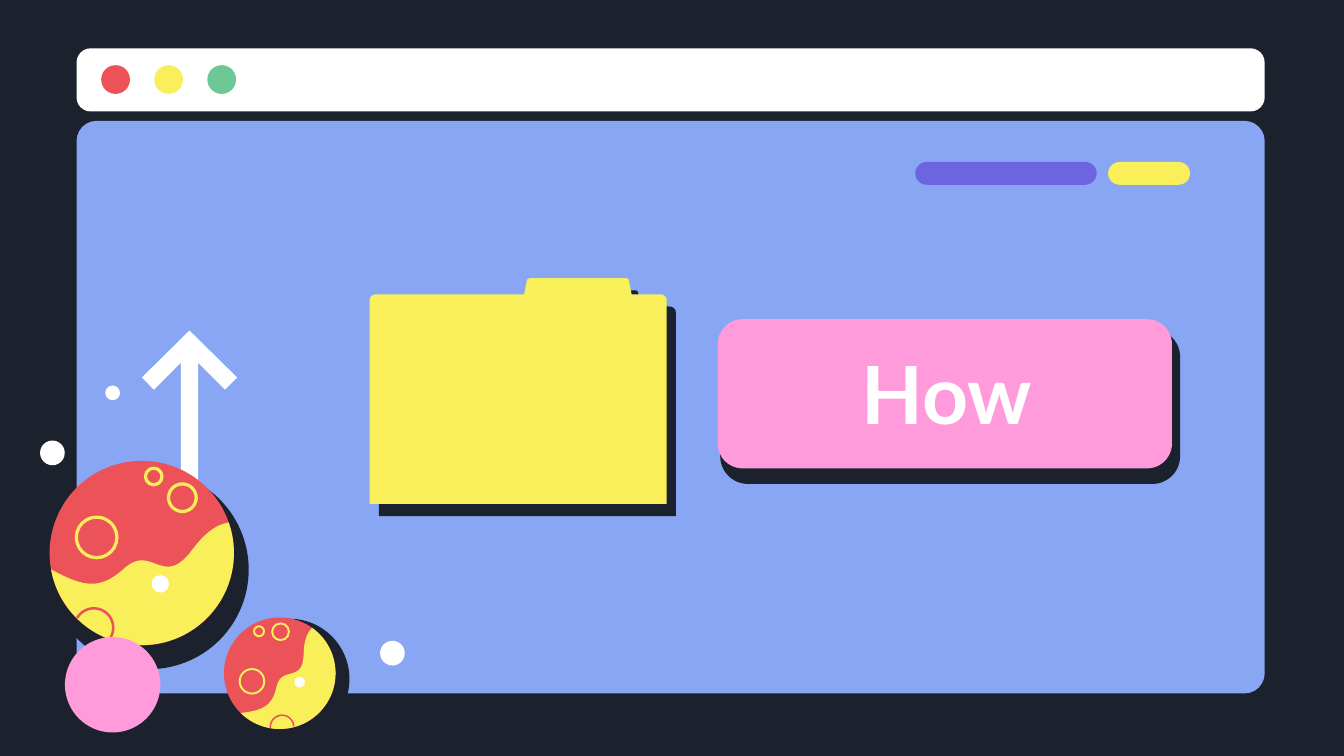
from math import cos, radians, sin

from lxml import etree
from pptx import Presentation
from pptx.dml.color import RGBColor
from pptx.enum.shapes import MSO_SHAPE
from pptx.enum.text import MSO_ANCHOR, PP_ALIGN
from pptx.oxml.ns import qn
from pptx.util import Inches, Pt

OVAL = MSO_SHAPE.OVAL
ROUND = MSO_SHAPE.ROUNDED_RECTANGLE
CENTER = PP_ALIGN.CENTER
MIDDLE = MSO_ANCHOR.MIDDLE

# Square grid: 100 columns by 56.25 rows
WIDTH, HEIGHT, COLS = 10, 5.625, 100
FONT = "Lato"
HEX = {
    "dark": "1B222D", "blue": "88A6F3", "white": "FFFFFF", "red": "EB5358",
    "yellow": "F8EF5B", "green": "6DC797", "purple": "6D65E0", "pink": "FF9BDA",
}


def arc(first, last, radius=1, x=0, y=0, steps=48):
    """Points along a circle; angles run clockwise from the right."""
    turns = [radians(first + (last - first) * i / steps) for i in range(steps + 1)]
    return [(x + radius * cos(t), y + radius * sin(t)) for t in turns]


def trace(parts, steps=16):
    """Turn points (x, y) and cubic curves (x1, y1, x2, y2, x, y) into points."""
    dots = []
    for part in parts:
        if len(part) == 2:
            dots.append(part)
            continue
        knots = [dots[-1], part[:2], part[2:4], part[4:]]
        for i in range(1, steps + 1):
            t = i / steps
            mix = ((1 - t) ** 3, 3 * t * (1 - t) ** 2, 3 * t * t * (1 - t), t ** 3)
            dots.append(tuple(sum(m * k[axis] for m, k in zip(mix, knots))
                              for axis in (0, 1)))
    return dots


# Planet parts, in shares of its radius around its centre
WAVE = trace([(-0.98, 0.18), (-0.60, 0.39, -0.43, 0.39, -0.17, 0.15),
              (0.12, -0.09, 0.24, 0.40, 0.56, -0.05),
              (0.72, -0.26, 0.84, -0.31, 0.94, -0.33)])
SEA = WAVE + arc(-19.3, 169.6)
RINGS = [(-0.49, -0.17, 0.22), (0.44, -0.60, 0.15), (0.13, -0.83, 0.09)]
RIM = arc(210, 393, 0.21, -0.52, 0.81)


class Board:
    def __init__(self, deck):
        self.unit = Inches(WIDTH) / COLS
        self.slide = deck.slides.add_slide(deck.slide_layouts[6])
        back = self.slide.background.fill
        back.solid()
        back.fore_color.rgb = self.tint("dark")

    def tint(self, name):
        return RGBColor.from_string(HEX[name])

    def span(self, *cells):
        return [round(cell * self.unit) for cell in cells]

    def paint(self, shape, fill=None, line=None, weight=1):
        shape.shadow.inherit = False
        if fill:
            shape.fill.solid()
            shape.fill.fore_color.rgb = self.tint(fill)
        else:
            shape.fill.background()
        if line:
            shape.line.color.rgb = self.tint(line)
            shape.line.width = Pt(weight)
        else:
            shape.line.fill.background()
        return shape

    def card(self, x, y, wide, high, fill, bend, line=None, weight=1):
        shape = self.slide.shapes.add_shape(ROUND, *self.span(x, y, wide, high))
        shape.adjustments[0] = bend
        return self.paint(shape, fill, line, weight)

    def disc(self, x, y, radius, fill=None, line=None, weight=1):
        box = self.span(x - radius, y - radius, 2 * radius, 2 * radius)
        shape = self.slide.shapes.add_shape(OVAL, *box)
        return self.paint(shape, fill, line, weight)

    def shape(self, dots, fill=None, line=None, weight=1):
        dots = [self.span(*dot) for dot in dots]
        pen = self.slide.shapes.build_freeform(*dots[0], scale=1.0)
        pen.add_line_segments(dots[1:], close=bool(fill))
        return self.paint(pen.convert_to_shape(), fill, line, weight)

    def drop(self, shape, color, gap, angle):
        effects = shape._element.spPr.find(qn("a:effectLst"))
        cast = etree.SubElement(effects, qn("a:outerShdw"), blurRad="0",
                                dist=str(Pt(gap)), dir=str(angle * 60000),
                                algn="bl", rotWithShape="0")
        etree.SubElement(cast, qn("a:srgbClr"), val=HEX[color])

    def title(self, x, y, wide, high, words, size, color):
        frame = self.slide.shapes.add_textbox(*self.span(x, y, wide, high)).text_frame
        frame.word_wrap = True
        frame.vertical_anchor = MIDDLE
        para = frame.paragraphs[0]
        para.alignment = CENTER
        run = para.add_run()
        run.text = words
        run.font.name, run.font.size, run.font.bold = FONT, Pt(size), True
        run.font.color.rgb = self.tint(color)

    def planet(self, x, y, radius, angle):
        turn = radians(angle)

        def place(px, py):
            return (x + radius * (px * cos(turn) - py * sin(turn)),
                    y + radius * (px * sin(turn) + py * cos(turn)))

        pen = radius * 0.25
        self.disc(*place(0.08, 0.18), radius * 1.08, "dark")
        self.disc(x, y, radius, "red")
        for px, py, size in RINGS:
            self.disc(*place(px, py), radius * size, line="yellow", weight=pen)
        self.shape([place(*dot) for dot in SEA], "yellow")
        self.shape([place(*dot) for dot in RIM], line="red", weight=pen * 0.8)
        self.disc(*place(0.2, 0.335), radius * 0.095, "white")


def main():
    deck = Presentation()
    deck.slide_width, deck.slide_height = Inches(WIDTH), Inches(HEIGHT)
    board = Board(deck)

    # Browser window
    board.card(5.7, 9, 88.4, 42.6, "blue", 0.035)
    board.card(5.7, 3.6, 88.4, 4.7, "white", 0.223)
    for i, color in enumerate(("red", "yellow", "green")):
        board.disc(8.6 + 3.95 * i, 5.92, 1.07, color)
    board.card(68.1, 12.05, 13.5, 1.7, "purple", 0.5)
    board.card(82.45, 12.05, 6.1, 1.7, "yellow", 0.5)

    # Up arrow, right half mirrored to the left
    half = [(0, 24.6), (3.55, 28.1), (2.65, 29), (0.65, 27), (0.65, 42.9)]
    sides = half + [(-x, y) for x, y in half[:0:-1]]
    board.shape([(14.1 + x, y) for x, y in sides], "white")

    # Title button
    board.card(53.8, 24.7, 33.8, 11.1, "dark", 0.167, "dark", 3)
    board.card(53.4, 23.75, 33.8, 11.1, "pink", 0.167)

    # Folder
    folder = board.shape(trace([
        (49.6, 22.3), (49.6, 37.5), (27.5, 37.5), (27.5, 22.3),
        (27.5, 22.1, 27.7, 21.9, 28, 21.9), (39, 21.9), (39.2, 20.9),
        (39.2, 20.8, 39.3, 20.7, 39.5, 20.7), (46.6, 20.7),
        (46.7, 20.7, 46.8, 20.8, 46.8, 20.9), (47, 21.9), (49.1, 21.9),
        (49.4, 21.9, 49.6, 22.1, 49.6, 22.3)]), "yellow")
    board.drop(folder, "dark", 8.2, 53)
    board.title(54.5, 24.6, 31.9, 9.2, "How", 43, "white")

    # Planets and stars
    board.planet(10.55, 41.15, 6.86, 0)
    board.disc(8.38, 50.95, 3.55, "pink")
    board.planet(20.82, 50.1, 4.15, -35.2)
    for x, y, radius in ((3.9, 33.7, 0.92), (29.2, 48.6, 0.92), (8.38, 29.23, 0.55)):
        board.disc(x, y, radius, "white")

    deck.save("out.pptx")


if __name__ == "__main__":
    main()
